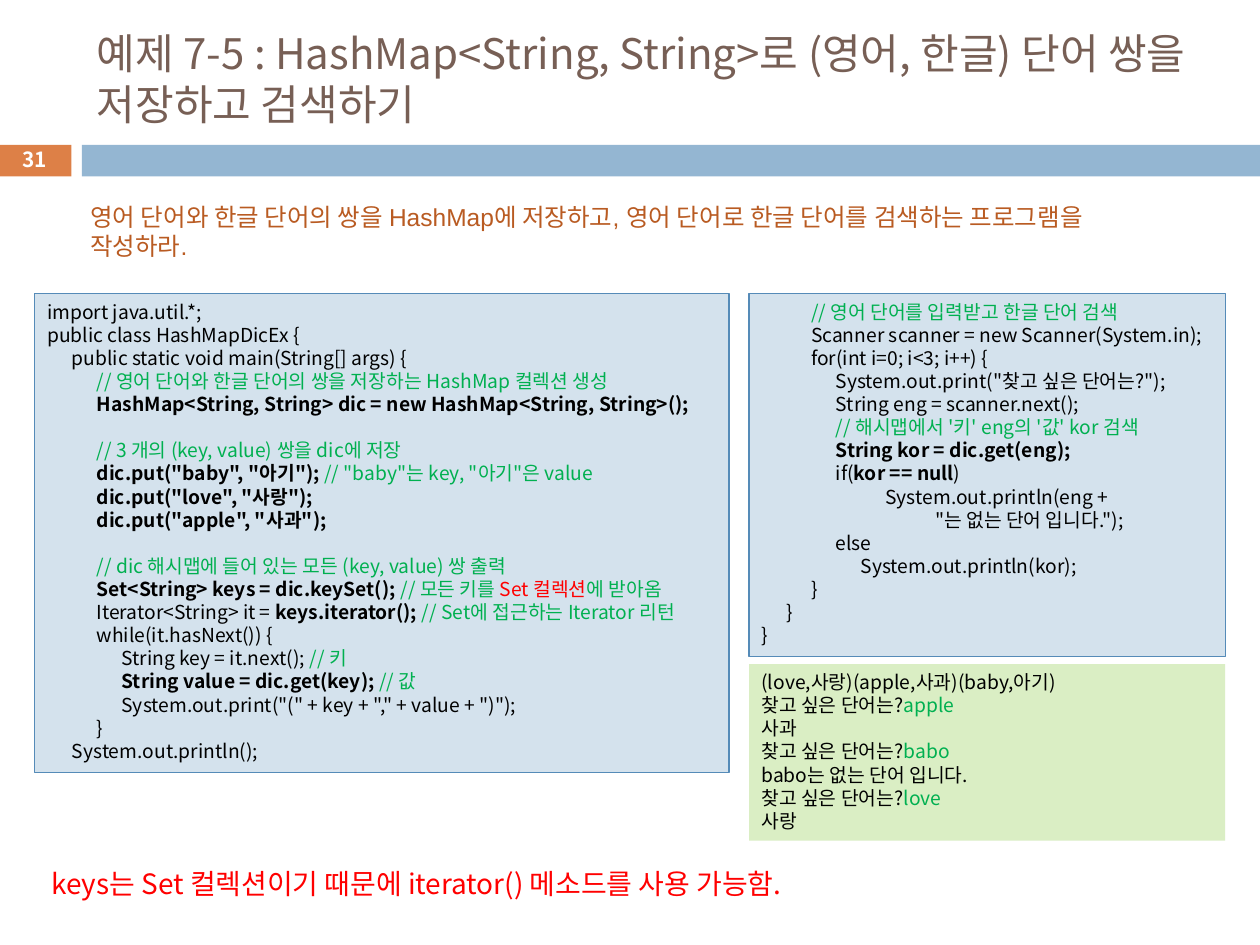
from dataclasses import dataclass

from lxml import etree
from pptx import Presentation
from pptx import util as u
from pptx.dml.color import RGBColor
from pptx.enum import shapes, text
from pptx.oxml.ns import qn


@dataclass(frozen=True)
class Theme:
    font: str = "Noto Sans CJK KR"
    task_font: str = "Arial"
    title: str = "775F55"
    accent: str = "DD8047"
    band: str = "94B6D2"
    code_fill: str = "D4E2ED"
    code_line: str = "558BB8"
    output_fill: str = "DAEEC4"
    ink: str = "000000"
    white: str = "FFFFFF"
    comment: str = "00B050"
    alert: str = "FF0000"
    task: str = "B95B22"
    title_size: float = 24
    remark_size: float = 16
    task_size: float = 14
    number_size: float = 11.9
    code_size: float = 11
    leading: float = 1.2
    tab: float = 0.5


THEME = Theme()


@dataclass(frozen=True)
class Span:
    text: str
    color: str = THEME.ink
    bold: bool = False


def bold(words):
    return Span(words, bold=True)


def comment(words):
    return Span(words, THEME.comment)


class SlideBuilder:
    def __init__(self, slide, theme):
        self.slide = slide
        self.theme = theme

    def _area(self, box):
        return [u.Cm(length) for length in box]

    def _write(self, frame, lines, size, font=None, align=text.PP_ALIGN.LEFT):
        """Fill a frame; each line is a Span, a plain string or a list of both."""
        for index, line in enumerate(lines):
            paragraph = frame.paragraphs[0] if index == 0 else frame.add_paragraph()
            paragraph.alignment = align
            paragraph.line_spacing = u.Pt(round(size * self.theme.leading, 1))
            paragraph._p.get_or_add_pPr().set("defTabSz", str(u.Cm(self.theme.tab)))
            for part in line if isinstance(line, list) else [line]:
                span = Span(part) if isinstance(part, str) else part
                if span.text:
                    self._run(paragraph, span, size, font or self.theme.font)

    def _run(self, paragraph, span, size, font):
        run = paragraph.add_run()
        run.text = span.text
        run.font.size = u.Pt(size)
        run.font.bold = span.bold
        run.font.name = font
        run.font.color.rgb = RGBColor.from_string(span.color)
        east_asian = etree.SubElement(run._r.get_or_add_rPr(), qn("a:ea"))
        east_asian.set("typeface", self.theme.font)

    def title(self, words, box):
        heading = self.slide.shapes.title
        heading.left, heading.top, heading.width, heading.height = self._area(box)
        frame = heading.text_frame
        frame.vertical_anchor = text.MSO_ANCHOR.MIDDLE
        frame.auto_size = text.MSO_AUTO_SIZE.NONE
        self._write(frame, [Span(words, self.theme.title)], self.theme.title_size)

    def block(self, box, fill, line=None):
        block = self.slide.shapes.add_shape(
            shapes.MSO_SHAPE.RECTANGLE, *self._area(box))
        block.shadow.inherit = False
        block.fill.solid()
        block.fill.fore_color.rgb = RGBColor.from_string(fill)
        if line:
            block.line.color.rgb = RGBColor.from_string(line)
            block.line.width = u.Pt(0.75)
        else:
            block.line.fill.background()
        return block

    def listing(self, lines, box, fill, line=None):
        frame = self.block(box, fill, line).text_frame
        frame.word_wrap = True
        frame.vertical_anchor = text.MSO_ANCHOR.TOP
        frame.auto_size = text.MSO_AUTO_SIZE.SHAPE_TO_FIT_TEXT
        self._write(frame, lines, self.theme.code_size)

    def label(self, span, box, size, font=None, wrap=True,
              align=text.PP_ALIGN.LEFT, anchor=text.MSO_ANCHOR.TOP):
        frame = self.slide.shapes.add_textbox(*self._area(box)).text_frame
        frame.word_wrap = wrap
        frame.vertical_anchor = anchor
        self._write(frame, [span], size, font, align)


STORE_CODE = [
    "import java.util.*;",
    "public class HashMapDicEx {",
    "\tpublic static void main(String[] args) {",
    comment("\t\t// 영어 단어와 한글 단어의 쌍을 저장하는 HashMap 컬렉션 생성"),
    bold("\t\tHashMap<String, String> dic = new HashMap<String, String>();"),
    "",
    comment("\t\t// 3 개의 (key, value) 쌍을 dic에 저장"),
    [bold('\t\tdic.put("baby", "아기"); '), comment('// "baby"는 key, "아기"은 value')],
    bold('\t\tdic.put("love", "사랑");'),
    bold('\t\tdic.put("apple", "사과");'),
    "",
    comment("\t\t// dic 해시맵에 들어 있는 모든 (key, value) 쌍 출력"),
    [bold("\t\tSet<String> keys = dic.keySet(); "), comment("// 모든 키를 "),
     Span("Set 컬렉션", THEME.alert), comment("에 받아옴")],
    ["\t\tIterator<String> it = ", bold("keys.iterator(); "),
     comment("// Set에 접근하는 Iterator 리턴")],
    "\t\twhile(it.hasNext()) {",
    ["\t\t\tString key = it.next(); ", comment("// 키")],
    [bold("\t\t\tString value = dic.get(key); "), comment("// 값")],
    '\t\t\tSystem.out.print("(" + key + "," + value + ")");',
    "\t\t}",
    "\tSystem.out.println();",
]

SEARCH_CODE = [
    comment("\t\t// 영어 단어를 입력받고 한글 단어 검색"),
    "\t\tScanner scanner = new Scanner(System.in);",
    "\t\tfor(int i=0; i<3; i++) {",
    '\t\t\tSystem.out.print("찾고 싶은 단어는?");',
    "\t\t\tString eng = scanner.next();",
    comment("\t\t\t// 해시맵에서 '키' eng의 '값' kor 검색"),
    bold("\t\t\tString kor = dic.get(eng);"),
    ["\t\t\tif(", bold("kor == null"), ")"],
    "\t\t\t\t\tSystem.out.println(eng +",
    '\t\t\t\t\t\t\t"는 없는 단어 입니다.");',
    "\t\t\telse",
    "\t\t\t\tSystem.out.println(kor);",
    "\t\t}",
    "\t}",
    "}",
]

PROMPT = "찾고 싶은 단어는?"
OUTPUT = [
    "(love,사랑)(apple,사과)(baby,아기)",
    [PROMPT, comment("apple")],
    "사과",
    [PROMPT, comment("babo")],
    "babo는 없는 단어 입니다.",
    [PROMPT, comment("love")],
    "사랑",
]


def main():
    deck = Presentation()
    deck.slide_width, deck.slide_height = u.Cm(25.4), u.Cm(19.05)
    page = SlideBuilder(deck.slides.add_slide(deck.slide_layouts[5]), THEME)

    page.block((-0.03, 2.92, 1.47, 0.64), THEME.accent)
    page.block((1.65, 2.92, 23.75, 0.64), THEME.band)
    page.title("예제 7-5 : HashMap<String, String>로 (영어, 한글) 단어 쌍을 저장하고 검색하기",
               (1.7, 0.64, 22.66, 1.88))
    page.label(Span("31", THEME.white, True), (-0.03, 2.87, 1.47, 0.69),
               THEME.number_size, align=text.PP_ALIGN.CENTER,
               anchor=text.MSO_ANCHOR.MIDDLE)
    page.label(Span("영어 단어와 한글 단어의 쌍을 HashMap에 저장하고, "
                    "영어 단어로 한글 단어를 검색하는 프로그램을 작성하라.", THEME.task),
               (1.57, 3.94, 22.12, 1.45), THEME.task_size, THEME.task_font)

    page.listing(STORE_CODE, (0.7, 5.92, 14, 9.65), THEME.code_fill, THEME.code_line)
    page.listing(SEARCH_CODE, (15.1, 5.92, 9.6, 7.32), THEME.code_fill, THEME.code_line)
    page.listing(OUTPUT, (15.1, 13.39, 9.6, 3.56), THEME.output_fill)
    page.label(Span("keys는 Set 컬렉션이기 때문에 iterator() 메소드를 사용 가능함.", THEME.alert),
               (0.79, 17.35, 16.79, 0.94), THEME.remark_size, wrap=False)

    deck.save("out.pptx")


if __name__ == "__main__":
    main()
